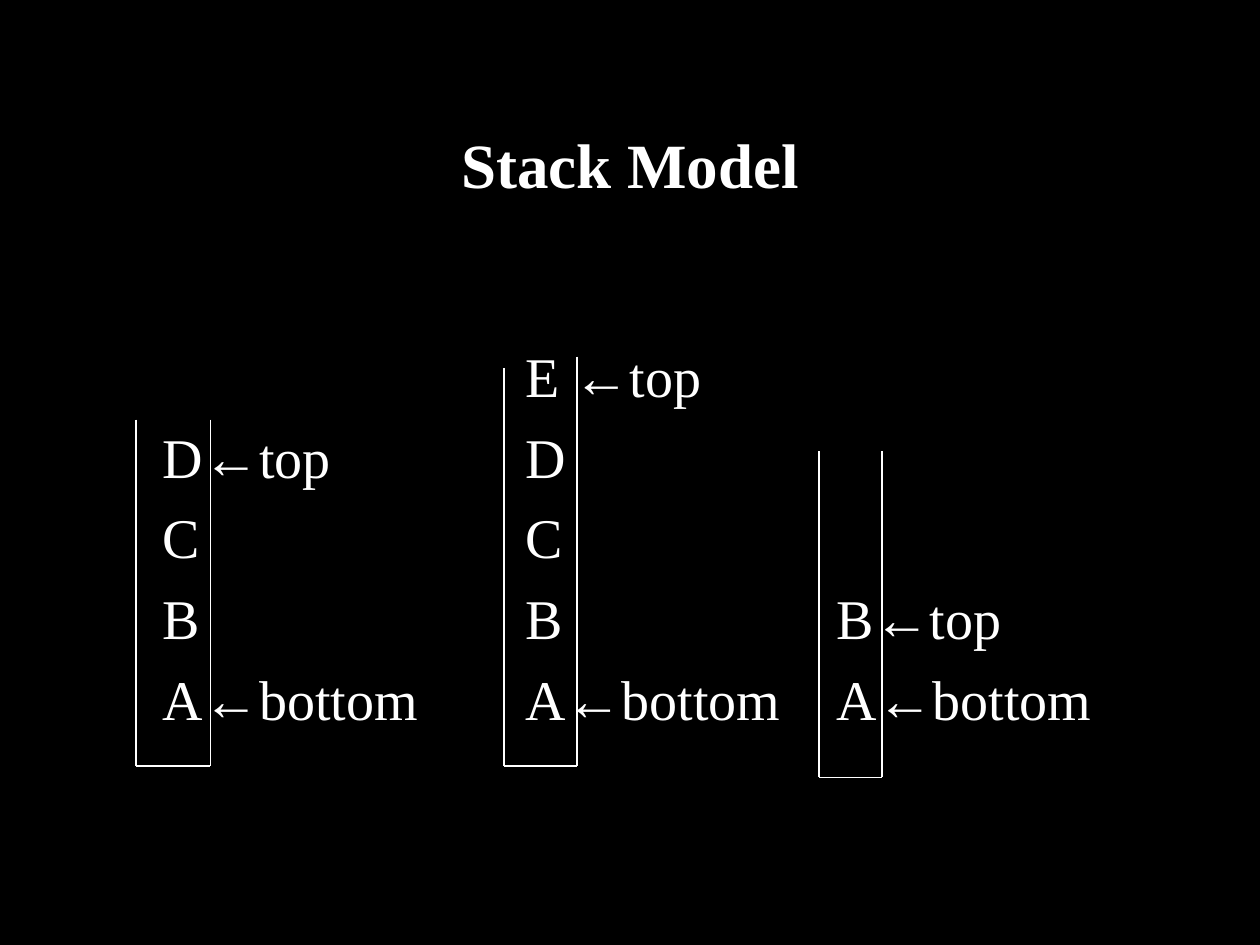
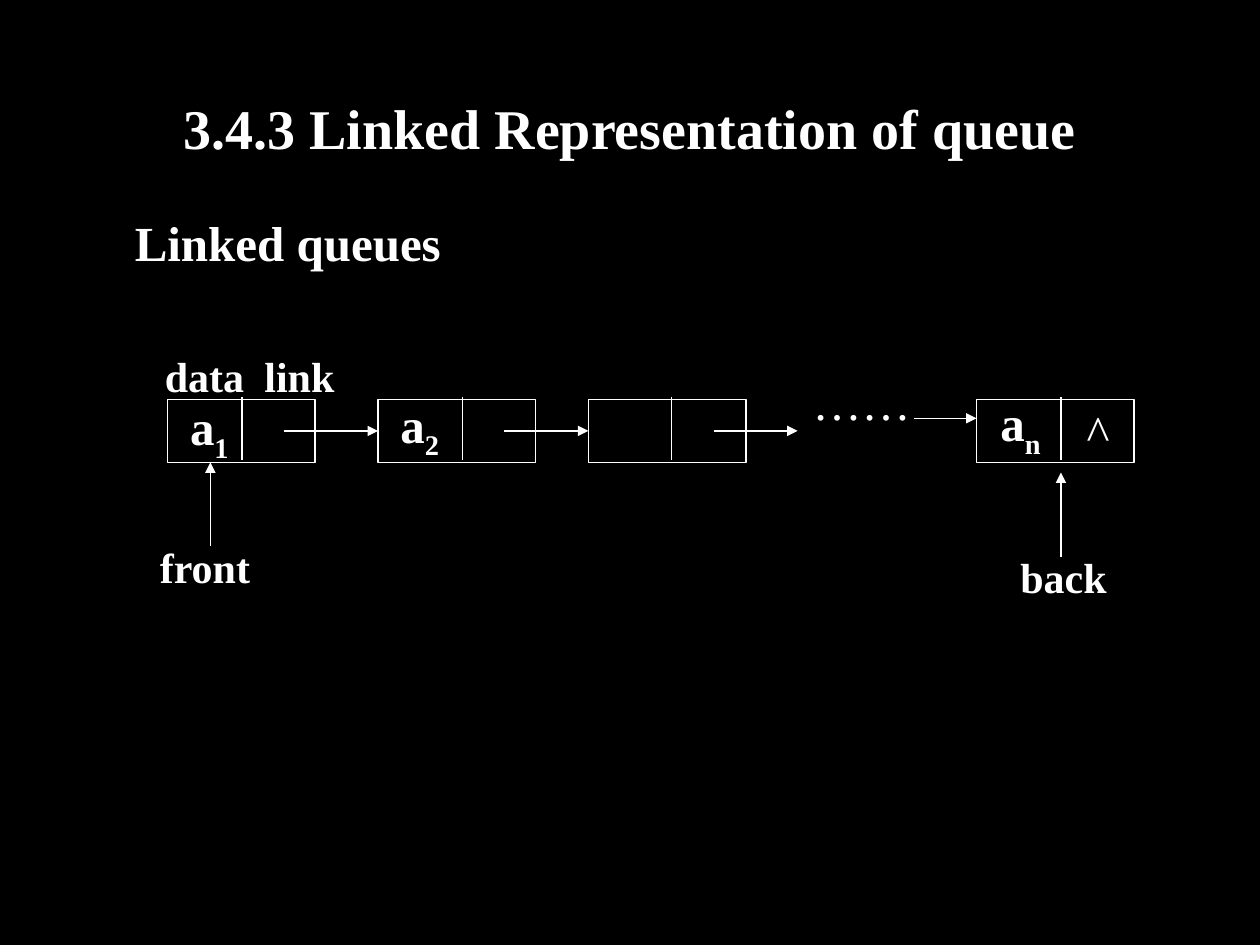
import itertools
import pptx
import pptx.dml.color
import pptx.enum.shapes
import pptx.enum.text
import pptx.oxml.ns
import pptx.util

Inches = pptx.util.Inches
Pt = pptx.util.Pt
hue = pptx.dml.color.RGBColor.from_string
Align = pptx.enum.text.PP_ALIGN
Anchor = pptx.enum.text.MSO_ANCHOR
INK = "FFFFFF"
PAPER = "000000"
FACE = "Times New Roman"


def write(shape, text, size=24, bold=True, align=Align.LEFT, anchor=Anchor.TOP,
          left=0.1, right=0, top=0.05, gap=0, sub=""):
    frame = shape.text_frame
    frame.word_wrap = True
    frame.auto_size = pptx.enum.text.MSO_AUTO_SIZE.NONE
    frame.vertical_anchor = anchor
    frame.margin_left, frame.margin_right = Inches(left), Inches(right)
    frame.margin_top, frame.margin_bottom = Inches(top), Inches(0.05)
    for row, words in enumerate(text.split("\n")):
        para = frame.add_paragraph() if row else frame.paragraphs[0]
        para.alignment = align
        para.space_before = Pt(gap if row else 0)
        props = para._p.get_or_add_pPr()
        props.set("marL", "0")
        props.set("indent", "0")
        props.append(props.makeelement(pptx.oxml.ns.qn("a:buNone"), {}))
        parts = [("".join(part), "Arial" if arrow else FACE, False)
                 for arrow, part in itertools.groupby(words, lambda sign: sign == "←")]
        if sub:
            parts.append((sub, FACE, True))
        for part, face, low in parts:
            run = para.add_run()
            run.text = part
            run.font.name = face
            run.font.size = Pt(size)
            run.font.bold = bold
            run.font.color.rgb = hue(INK)
            if low:
                run._r.get_or_add_rPr().set("baseline", "-25000")


def draw(slide, x1, y1, x2, y2, arrow=False):
    line = slide.shapes.add_connector(
        pptx.enum.shapes.MSO_CONNECTOR.STRAIGHT,
        Inches(x1), Inches(y1), Inches(x2), Inches(y2))
    line.line.color.rgb = hue(INK)
    line.line.width = Pt(0.75)
    props = line._element.spPr
    if arrow:
        edge = line.line._get_or_add_ln()
        edge.append(edge.makeelement(pptx.oxml.ns.qn("a:tailEnd"), {"type": "triangle"}))
    props.append(props.makeelement(pptx.oxml.ns.qn("a:effectLst"), {}))
    return line


deck = pptx.Presentation()
deck.slide_width, deck.slide_height = Inches(10), Inches(7.5)
back = deck.slide_master.background.fill
back.solid()
back.fore_color.rgb = hue(PAPER)

pages = []
for head, size, high, top, tall in [
    ("Stack Model", 36, 1.25, 2, 4.5),
    ("3.4.3 Linked Representation of queue", 32, 0.67, 1.58, 5.08),
]:
    page = deck.slides.add_slide(deck.slide_layouts[1])
    title, body = page.shapes.title, page.placeholders[1]
    title.left, title.top = Inches(0.75), Inches(0.67)
    title.width, title.height = Inches(8.5), Inches(high)
    body.left, body.top = Inches(0.75), Inches(top)
    body.width, body.height = Inches(8.5), Inches(tall)
    write(title, head, size=size, align=Align.CENTER, anchor=Anchor.MIDDLE, right=0.1)
    pages.append((page, body))

stack, body = pages[0]
first, pitch = 2.71, 0.64
second = stack.shapes.add_textbox(Inches(4.07), Inches(first), Inches(2.3), Inches(5 * pitch))
third = stack.shapes.add_textbox(
    Inches(6.54), Inches(first + 3 * pitch), Inches(2.3), Inches(2 * pitch))
for column, text, left, top in [
    (body, "D←top\nC\nB\nA←bottom", 0.54, first + pitch - 2),
    (second, "E ←top\nD\nC\nB\nA←bottom", 0.1, 0),
    (third, "B←top\nA←bottom", 0.1, 0),
]:
    write(column, text, size=32, bold=False, left=left, top=top, gap=7.7)

for left, right, rise, peak, base in [
    (1.08, 1.67, 3.33, 3.33, 6.08),
    (4, 4.58, 2.92, 2.83, 6.08),
    (6.5, 7, 3.58, 3.58, 6.17),
]:
    draw(stack, left, rise, left, base)
    draw(stack, right, peak, right, base)
    draw(stack, left, base, right, base)

queue, body = pages[1]
write(body, "Linked queues", size=28, left=0.32, top=0.11)

nodes = []
for left, wide, split in [(1.33, 1.17, 1.92), (3, 1.25, 3.67), (4.67, 1.25, 5.33), (7.75, 1.25, 8.42)]:
    node = queue.shapes.add_shape(
        pptx.enum.shapes.MSO_SHAPE.RECTANGLE,
        Inches(left), Inches(3.17), Inches(wide), Inches(0.5))
    node.shadow.inherit = False
    node.fill.background()
    node.line.color.rgb = hue(INK)
    node.line.width = Pt(0.75)
    draw(queue, split, 3.15, split, 3.65)
    nodes.append(node)
write(nodes[-1], "^", size=28, bold=False, align=Align.CENTER, anchor=Anchor.MIDDLE, left=0.68)

for start, end, goal in [(2.25, 3, nodes[1]), (4, 4.67, nodes[2])]:
    draw(queue, start, 3.42, end, 3.42, arrow=True).end_connect(goal, 1)
for ends in [(5.67, 3.42, 6.33, 3.42), (7.25, 3.32, 7.75, 3.32),
             (1.67, 4.33, 1.67, 3.67), (8.42, 4.42, 8.42, 3.75)]:
    draw(queue, *ends, arrow=True)

for text, left, top, wide, high, style in [
    ("data", 1.21, 2.73, 0.75, 0.5, {}),
    ("link", 2, 2.73, 0.75, 0.5, {}),
    ("……", 6.25, 2.9, 1.25, 0.57, dict(size=28, bold=False, left=0.2)),
    ("front", 1.17, 4.25, 1.25, 0.5, {}),
    ("back", 8, 4.33, 0.92, 0.5, {}),
    ("a", 1.41, 3.1, 0.51, 0.63, dict(size=28, sub="1")),
    ("a", 3.08, 3.08, 0.51, 0.63, dict(size=28, sub="2")),
    ("a", 7.74, 3.07, 0.62, 0.63, dict(size=28, left=0.2, sub="n")),
]:
    label = queue.shapes.add_textbox(Inches(left), Inches(top), Inches(wide), Inches(high))
    write(label, text, **style)

deck.save("out.pptx")
